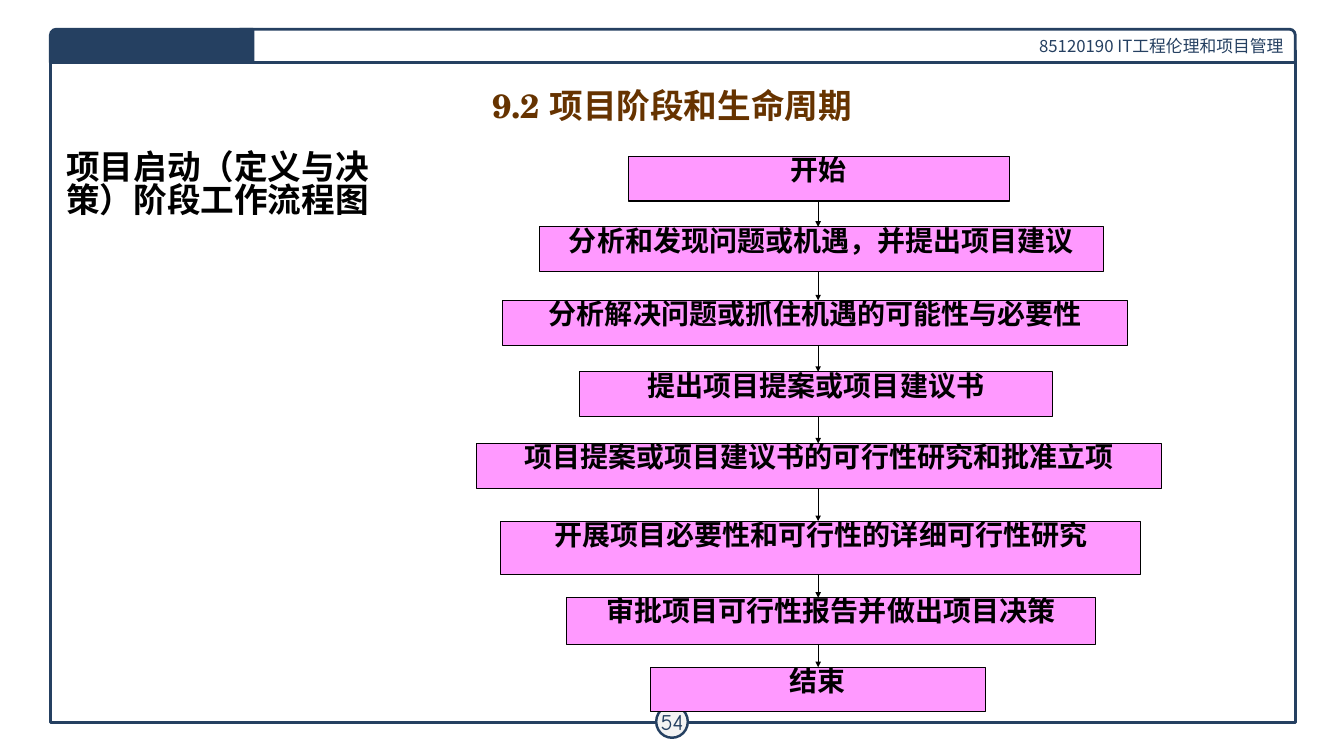
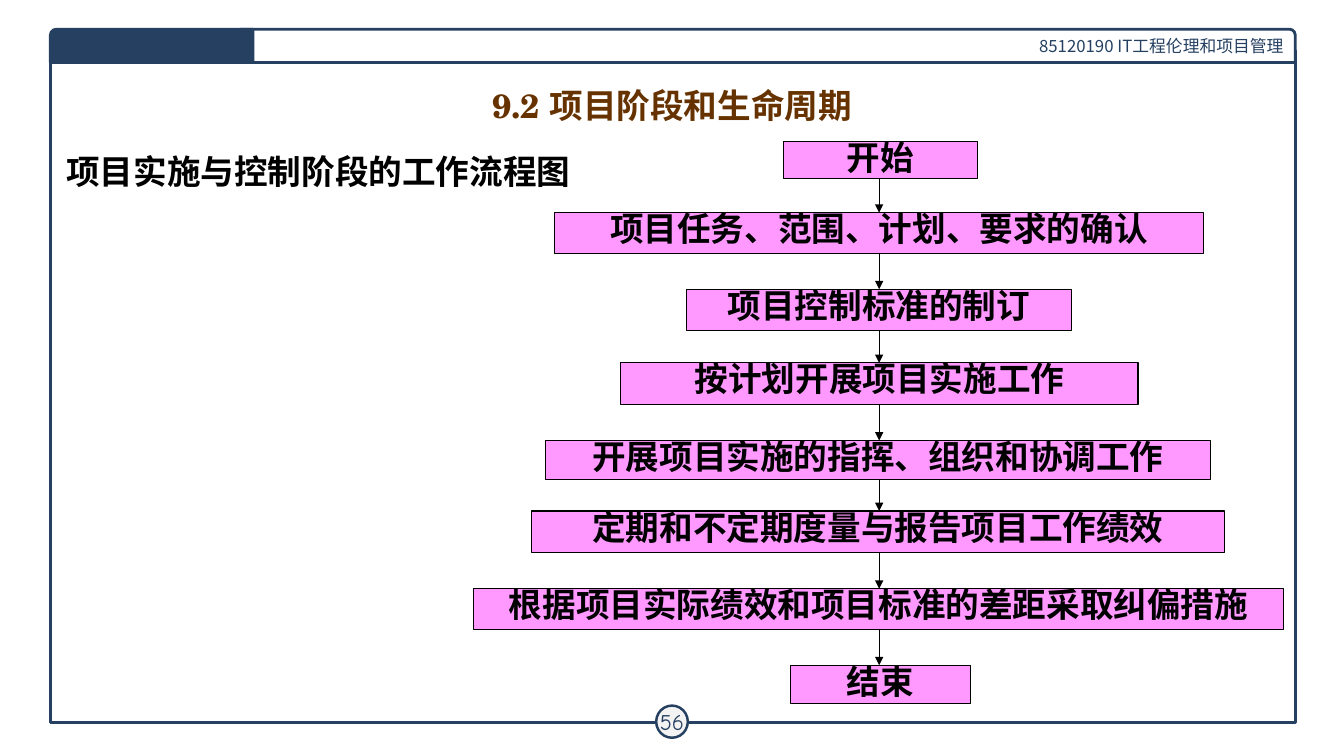
from itertools import pairwise

from lxml.etree import SubElement
from pptx import Presentation
from pptx.dml.color import RGBColor
from pptx.enum.shapes import MSO_CONNECTOR, MSO_SHAPE
from pptx.enum.text import MSO_ANCHOR as ANCHOR, MSO_AUTO_SIZE, PP_ALIGN as ALIGN
from pptx.oxml.ns import qn
from pptx.util import Pt

COLORS = {
    "navy": "254061",
    "white": "FFFFFF",
    "badge": "F3F3F3",
    "title": "663300",
    "black": "000000",
    "step": "FF99FF",
}
CJK_FONT = "Noto Sans CJK SC"
TITLE = "9.2 项目阶段和生命周期"
COURSE = "85120190 IT工程伦理和项目管理"

# Each step: text, left, top, width, height
START_STEPS = [
    ("开始", 448.6, 111.6, 272.2, 32),
    ("分析和发现问题或机遇，并提出项目建议", 385.2, 162, 403.2, 32),
    ("分析解决问题或抓住机遇的可能性与必要性", 359.3, 214.6, 446.4, 32),
    ("提出项目提案或项目建议书", 414, 265.7, 337.7, 32),
    ("项目提案或项目建议书的可行性研究和批准立项", 340.6, 316.8, 488.9, 32.4),
    ("开展项目必要性和可行性的详细可行性研究", 357.8, 372.2, 457.2, 38.2),
    ("审批项目可行性报告并做出项目决策", 404.6, 427, 378, 33.1),
    ("结束", 464.4, 476.6, 239.8, 31.7),
]
CONTROL_STEPS = [
    ("开始", 559.4, 100.8, 139, 26.6),
    ("项目任务、范围、计划、要求的确认", 396, 151.9, 463.7, 29.5),
    ("项目控制标准的制订", 490.3, 206.6, 275, 29.5),
    ("按计划开展项目实施工作", 443.5, 259.2, 369.4, 29.5),
    ("开展项目实施的指挥、组织和协调工作", 389.5, 314.6, 475.2, 28.1),
    ("定期和不定期度量与报告项目工作绩效", 379.4, 365, 495.4, 29.5),
    ("根据项目实际绩效和项目标准的差距采取纠偏措施", 338.4, 420.5, 578.2, 29.5),
    ("结束", 564.5, 475.2, 128.9, 27.4),
]


def rgb(name):
    return RGBColor.from_string(COLORS[name])


def write_text(shape, text, size, font, color, align, bold=False, spacing=1.0,
               anchor=ANCHOR.TOP, insets=(7.2, 3.6), wrap=True):
    """Fill a shape with one paragraph; insets are (sides, top and bottom)."""
    frame = shape.text_frame
    frame.auto_size = MSO_AUTO_SIZE.NONE
    frame.word_wrap = wrap
    frame.vertical_anchor = anchor
    frame.margin_left = frame.margin_right = Pt(insets[0])
    frame.margin_top = frame.margin_bottom = Pt(insets[1])
    frame.text = text
    paragraph = frame.paragraphs[0]
    paragraph.alignment = align
    paragraph.line_spacing = spacing
    paragraph.font.size = Pt(size)
    paragraph.font.bold = bold
    paragraph.font.color.rgb = rgb(color)
    paragraph.font.name = font
    properties = paragraph._p.pPr.find(qn("a:defRPr"))
    SubElement(properties, qn("a:ea"), typeface=CJK_FONT)


def add_box(slide, kind, left, top, width, height, fill, line, line_width):
    shape = slide.shapes.add_shape(kind, Pt(left), Pt(top), Pt(width), Pt(height))
    shape.shadow.inherit = False
    if fill:
        shape.fill.solid()
        shape.fill.fore_color.rgb = rgb(fill)
    else:
        shape.fill.background()
    shape.line.color.rgb = rgb(line)
    shape.line.width = Pt(line_width)
    return shape


def add_arrow(slide, x, top, bottom, head_size):
    arrow = slide.shapes.add_connector(
        MSO_CONNECTOR.STRAIGHT, Pt(x), Pt(top), Pt(x), Pt(bottom))
    arrow.line.color.rgb = rgb("black")
    arrow.line.width = Pt(0.75)
    SubElement(arrow.line._get_or_add_ln(), qn("a:tailEnd"),
               type="triangle", w=head_size, len=head_size)
    SubElement(arrow._element.spPr, qn("a:effectLst"))


def add_page_frame(slide, number):
    add_box(slide, MSO_SHAPE.RECTANGLE, 36, 36, 889.2, 480, None, "navy", 2)
    header = add_box(slide, MSO_SHAPE.ROUND_1_RECTANGLE,
                     171.4, 20.9, 753.8, 23.8, "white", "navy", 2)
    write_text(header, COURSE, 12, CJK_FONT, "navy", ALIGN.RIGHT,
               anchor=ANCHOR.MIDDLE)
    badge = add_box(slide, MSO_SHAPE.OVAL, 468.7, 504, 22.6, 23, "badge", "navy", 1.75)
    write_text(badge, str(number), 16, "Comic Neue", "navy", ALIGN.CENTER,
               anchor=ANCHOR.MIDDLE, insets=(2.9, 2.9), wrap=False)
    tab = add_box(slide, MSO_SHAPE.ROUND_1_RECTANGLE,
                  36, 20.9, 144.7, 23.8, "navy", "navy", 2)
    tab.adjustments[0] = 0.175
    tab._element.spPr.find(qn("a:xfrm")).set("flipH", "1")


def set_title(slide):
    title = slide.shapes.title
    title.left, title.top, title.width, title.height = map(Pt, (48, 60.5, 864, 34.6))
    write_text(title, TITLE, 24, "TeX Gyre Schola", "title", ALIGN.CENTER,
               bold=True, spacing=0.9)


def add_label(slide, text, top, width, height):
    label = slide.shapes.add_textbox(Pt(40.3), Pt(top), Pt(width), Pt(height))
    write_text(label, text, 24, CJK_FONT, "black", ALIGN.LEFT, bold=True, spacing=0.83)


def add_flow(slide, steps, axis, size, side_inset, head_size):
    """Draw the steps and join each to the next along a vertical axis."""
    for text, *bounds in steps:
        box = add_box(slide, MSO_SHAPE.RECTANGLE, *bounds, "step", "black", 0.75)
        write_text(box, text, size, "Arial", "black", ALIGN.CENTER, bold=True,
                   spacing=0.9, insets=(side_inset, 0))
    for (_, _, top, _, height), (_, _, next_top, _, _) in pairwise(steps):
        add_arrow(slide, axis, top + height, next_top, head_size)


def add_page(presentation, number):
    slide = presentation.slides.add_slide(presentation.slide_layouts[5])
    set_title(slide)
    add_page_frame(slide, number)
    return slide


def main():
    presentation = Presentation()
    presentation.slide_width, presentation.slide_height = Pt(960), Pt(540)

    slide = add_page(presentation, 54)
    add_label(slide, "项目启动（定义与决策）阶段工作流程图", 105.5, 260, 65.5)
    add_flow(slide, START_STEPS, 584.4, 20, 2.9, "sm")

    slide = add_page(presentation, 56)
    add_label(slide, "项目实施与控制阶段的工作流程图", 109, 378, 36)
    add_flow(slide, CONTROL_STEPS, 628, 24, 0, "med")

    presentation.save("out.pptx")


if __name__ == "__main__":
    main()
